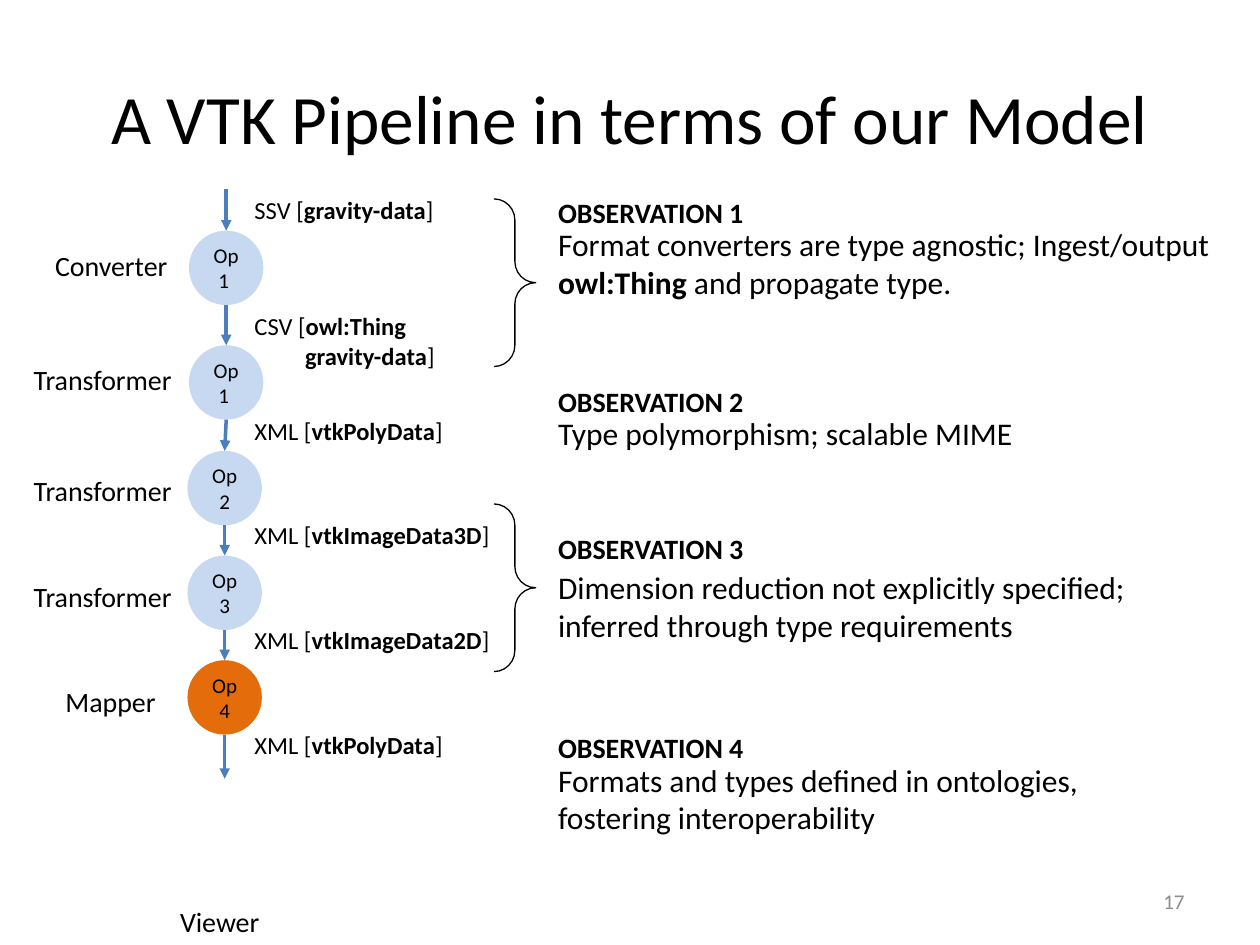
"""Build the slide that explains a VTK pipeline in terms of the model."""
from pptx import Presentation
from pptx.dml.color import RGBColor
from pptx.enum import shapes, text
from pptx.oxml.ns import qn
from pptx.util import Cm, Pt
from lxml import etree

COLORS = {"text": "000000", "operator": "C6D9F1", "mapper": "E46C0A",
          "arrow": "4B7EBC", "number": "8C8C8C"}
FONT = "Calibri"
TITLE = "A VTK Pipeline in terms of our Model"

DIAMETER = 1.5
PIPELINE_TOP, PIPELINE_BOTTOM = 3.81, 15.7
OPERATORS = [
    ("Op1 ", 3.81, 4.65, "operator"),
    ("Op1 ", 3.81, 6.96, "operator"),
    ("Op 2", 3.78, 9.09, "operator"),
    ("Op 3", 3.78, 11.2, "operator"),
    ("Op 4", 3.78, 13.31, "mapper"),
]
ROLES = [
    ("Converter", 0.86, 4.88, 3.38),
    ("Transformer", 0.43, 7.19, 3.38),
    ("Transformer", 0.43, 9.42, 3.38),
    ("Transformer", 0.43, 11.56, 4.01),
    ("Mapper", 1.07, 13.67, 2.74),
    ("Viewer", 3.38, 18.11, 2.34),
]
DATA_LEFT = 4.88
DATA = [
    (["SSV [*gravity-data*]"], 3.81, 4.45),
    (["CSV [*owl:Thing*", "*gravity-data*]"], 6.15, 6.78),
    (["XML [*vtkPolyData*]"], 8.26, 4.45),
    (["XML [*vtkImageData3D*]"], 10.36, 5.51),
    (["XML [*vtkImageData2D*]"], 12.47, 5.51),
    (["XML [*vtkPolyData*]"], 14.6, 4.45),
]
OBSERVATION_LEFT = 11
OBSERVATIONS = [
    ("Format converters are type agnostic; Ingest/output *owl:Thing *and propagate type.",
     3.81, 4.42, 13.87),
    ("Type polymorphism; scalable MIME", 7.62, 8.23, 13.34),
    ("Dimension reduction not explicitly specified; inferred through type requirements",
     10.59, 11.33, 12.9),
    ("Formats and types defined in ontologies, fostering interoperability",
     14.6, 15.21, 12.7),
]
BRACE_TOPS = [4.01, 10.16]


def write(shape, *lines, size, color="text", align=text.PP_ALIGN.LEFT,
          anchor=text.MSO_ANCHOR.TOP, indent=0):
    """Fill a shape with lines in which asterisks enclose bold words."""
    frame = shape.text_frame
    frame.word_wrap = True
    frame.vertical_anchor = anchor
    for index, line in enumerate(lines):
        paragraph = frame.add_paragraph() if index else frame.paragraphs[0]
        paragraph.alignment = align
        if index and indent:
            paragraph._p.get_or_add_pPr().set("marL", str(Cm(indent)))
        for position, words in enumerate(line.split("*")):
            if words:
                run = paragraph.add_run()
                run.text = words
                run.font.name = FONT
                run.font.size = Pt(size)
                run.font.bold = position % 2 == 1
                run.font.color.rgb = RGBColor.from_string(COLORS[color])


def add_label(slide, left, top, width, *lines, height=0.94, **style):
    """Add a text box that grows with its text."""
    box = slide.shapes.add_textbox(Cm(left), Cm(top), Cm(width), Cm(height))
    write(box, *lines, **style)
    box.text_frame.auto_size = text.MSO_AUTO_SIZE.SHAPE_TO_FIT_TEXT


def add_operator(slide, name, left, top, color):
    """Add one round pipeline operator."""
    shape = slide.shapes.add_shape(shapes.MSO_SHAPE.OVAL, Cm(left), Cm(top),
                                   Cm(DIAMETER), Cm(DIAMETER))
    shape.shadow.inherit = False
    shape.fill.solid()
    shape.fill.fore_color.rgb = RGBColor.from_string(COLORS[color])
    shape.line.fill.background()
    write(shape, name, size=12, align=text.PP_ALIGN.CENTER,
          anchor=text.MSO_ANCHOR.MIDDLE)


def add_arrow(slide, start, end):
    """Add an arrow between two points."""
    arrow = slide.shapes.add_connector(shapes.MSO_CONNECTOR.STRAIGHT,
                                       *map(Cm, start + end))
    arrow.line.color.rgb = RGBColor.from_string(COLORS["arrow"])
    arrow.line.width = Pt(2)
    etree.SubElement(arrow.line._get_or_add_ln(), qn("a:tailEnd"), type="triangle")
    etree.SubElement(arrow._element.spPr, qn("a:effectLst"))


def add_brace(slide, top):
    """Add a brace that ties data labels to an observation."""
    brace = slide.shapes.add_shape(shapes.MSO_SHAPE.RIGHT_BRACE, Cm(9.96), Cm(top),
                                   Cm(0.84), Cm(3.38))
    brace.adjustments[0] = 0.51
    brace.shadow.inherit = False
    brace.fill.background()
    brace.line.color.rgb = RGBColor.from_string(COLORS["text"])
    brace.line.width = Pt(0.75)


def main():
    """Assemble and save the slide."""
    presentation = Presentation()
    presentation.slide_width, presentation.slide_height = Cm(25.4), Cm(19.05)
    slide = presentation.slides.add_slide(presentation.slide_layouts[5])

    title = slide.shapes.title
    title.left, title.top, title.width, title.height = map(Cm, (1.27, 0.76, 22.86, 3.18))
    write(title, TITLE, size=39.6, align=text.PP_ALIGN.CENTER,
          anchor=text.MSO_ANCHOR.MIDDLE)

    for operator in OPERATORS:
        add_operator(slide, *operator)
    centers = [left + DIAMETER / 2 for _, left, _, _ in OPERATORS]
    tops = [top for _, _, top, _ in OPERATORS]
    starts = [(centers[0], PIPELINE_TOP)]
    starts += [(x, y + DIAMETER) for x, y in zip(centers, tops)]
    ends = list(zip(centers, tops)) + [(centers[-1], PIPELINE_BOTTOM)]
    for start, end in zip(starts, ends):
        add_arrow(slide, start, end)

    for name, left, top, width in ROLES:
        add_label(slide, left, top, width, name, size=16)
    for lines, top, width in DATA:
        add_label(slide, DATA_LEFT, top, width, *lines, size=14, indent=1.02,
                  height=0.26 + 0.6 * len(lines))
    for number, (body, top, body_top, width) in enumerate(OBSERVATIONS, 1):
        add_label(slide, OBSERVATION_LEFT, top, 4.55, f"*OBSERVATION {number}*", size=16)
        add_label(slide, OBSERVATION_LEFT, body_top, width, body, size=18,
                  height=1.8 if len(body) > 40 else 1.02)
    for top in BRACE_TOPS:
        add_brace(slide, top)

    page_number = slide.shapes.add_textbox(Cm(18.2), Cm(17.66), Cm(5.93), Cm(1.01))
    write(page_number, "17", size=12, color="number", align=text.PP_ALIGN.RIGHT,
          anchor=text.MSO_ANCHOR.MIDDLE)
    presentation.save("out.pptx")


if __name__ == "__main__":
    main()
